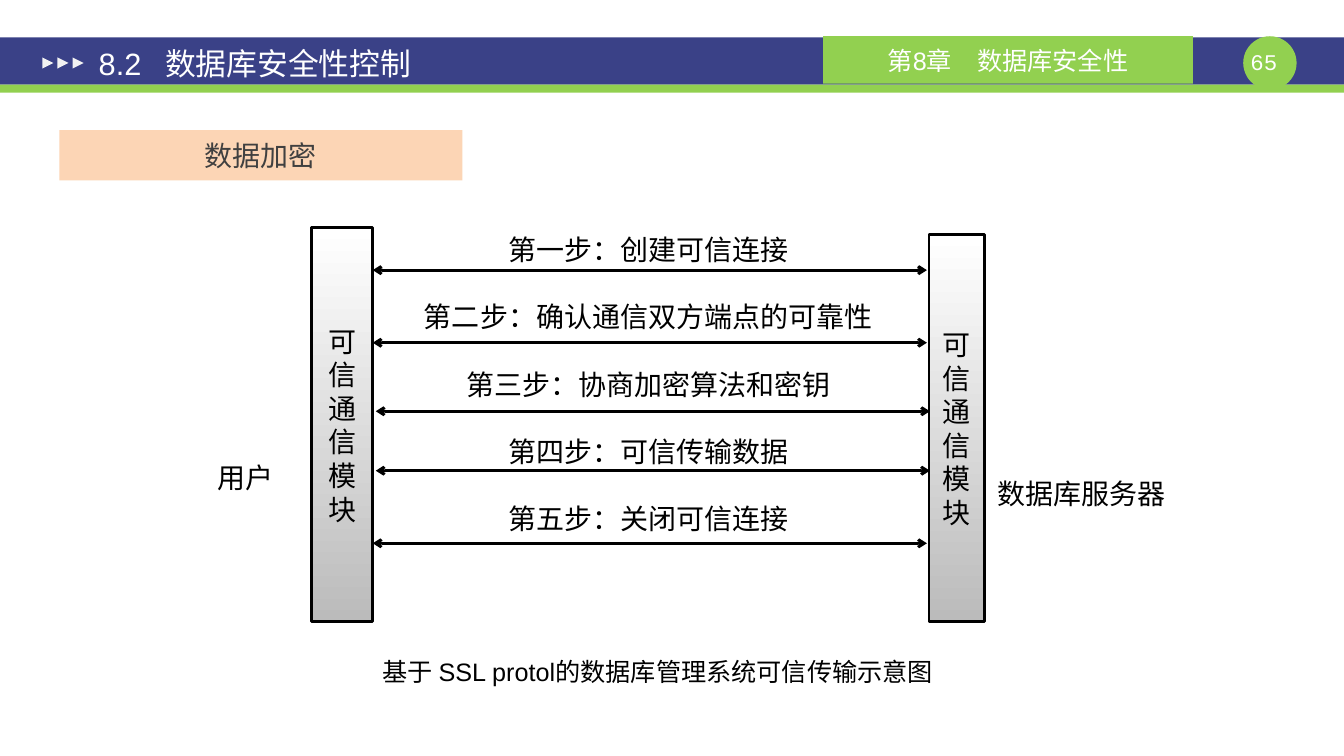
import pptx
import pptx.util
import pptx.dml.color
import pptx.enum.dml
import pptx.enum.shapes
import pptx.enum.text
import pptx.oxml
import pptx.oxml.ns
from lxml import etree

Inches = pptx.util.Inches
Pt = pptx.util.Pt
KIND = pptx.enum.shapes.MSO_SHAPE
ALIGN = pptx.enum.text.PP_ALIGN
ANCHOR = pptx.enum.text.MSO_ANCHOR

COLORS = {
    "navy": "3A4187", "green": "92D050", "peach": "FCD5B5",
    "mark": "F2F2F2", "white": "FFFFFF", "gray": "BBBBBB",
    "dark": "404040", "black": "000000",
}
STEPS = [
    "第一步：创建可信连接",
    "第二步：确认通信双方端点的可靠性",
    "第三步：协商加密算法和密钥",
    "第四步：可信传输数据",
    "第五步：关闭可信连接",
]
ARROWS = [(3.7, 2.68), (3.7, 3.4), (3.73, 4.08), (3.73, 4.67), (3.7, 5.39)]


def color(name):
    return pptx.dml.color.RGBColor.from_string(COLORS[name])


def write(shape, lines, size, tint="black", font="Arial", align=ALIGN.CENTER,
          anchor=ANCHOR.MIDDLE, wrap=True, gap=0):
    frame = shape.text_frame
    frame.word_wrap = wrap
    frame.auto_size = pptx.enum.text.MSO_AUTO_SIZE.NONE
    frame.vertical_anchor = anchor
    frame.text = "\n".join(lines)
    for i, para in enumerate(frame.paragraphs):
        para.alignment = align
        para.space_before = Pt(gap if i else 0)
        para.font.size = Pt(size)
        para.font.name = font
        para.font.color.rgb = color(tint)
    return frame


def add_block(slide, kind, box, fill):
    shape = slide.shapes.add_shape(kind, *map(Inches, box))
    shape.shadow.inherit = False
    shape.fill.solid()
    shape.fill.fore_color.rgb = color(fill)
    shape.line.fill.background()
    return shape


def add_label(slide, box, lines, size, **style):
    label = slide.shapes.add_textbox(*map(Inches, box))
    return write(label, lines, size, **style)


def add_module(slide, box):
    shape = add_block(slide, KIND.RECTANGLE, box, "white")
    shape.fill.gradient()
    shape.fill.gradient_angle = 270
    for stop, name in zip(shape.fill.gradient_stops, ("white", "gray")):
        stop.color.rgb = color(name)
    shape.line.color.rgb = color("black")
    shape.line.width = Pt(2)
    write(shape, "可信通信模块", 20, wrap=False)


def add_arrow(slide, left, top):
    link = slide.shapes.add_connector(
        pptx.enum.shapes.MSO_CONNECTOR.STRAIGHT,
        Inches(left), Inches(top), Inches(left + 5.5), Inches(top))
    link.line.color.rgb = color("black")
    link.line.width = Pt(2)
    line = link.line._get_or_add_ln()
    for end in ("a:headEnd", "a:tailEnd"):
        etree.SubElement(line, pptx.oxml.ns.qn(end), type="arrow")
    etree.SubElement(link._element.spPr, pptx.oxml.ns.qn("a:effectLst"))


def set_title(slide):
    title = slide.shapes.title
    slide.shapes._spTree.append(title._element)
    title.left, title.top = Inches(0.85), Inches(0.39)
    title.width, title.height = Inches(5.83), Inches(0.47)
    frame = title.text_frame
    frame.margin_left = frame.margin_right = Inches(0.13)
    frame.margin_top = frame.margin_bottom = Inches(0.07)
    frame.text = "8.2\t数据库安全性控制"
    props = frame.paragraphs[0]._p.get_or_add_pPr()
    tabs = etree.SubElement(props, pptx.oxml.ns.qn("a:tabLst"))
    etree.SubElement(tabs, pptx.oxml.ns.qn("a:tab"),
                     pos=str(Inches(0.66)), algn="l")
    para = frame.paragraphs[0]
    para.alignment = ALIGN.LEFT
    para.font.size = Pt(22)
    para.font.name = "Arial"
    para.font.color.rgb = color("white")
    frame.vertical_anchor = ANCHOR.MIDDLE
    frame.auto_size = pptx.enum.text.MSO_AUTO_SIZE.NONE


def add_header(slide):
    add_block(slide, KIND.RECTANGLE, (0, 0.37, 13.34, 0.47), "navy")
    add_block(slide, KIND.RECTANGLE, (0, 0.84, 13.34, 0.08), "green")
    add_block(slide, KIND.OVAL, (12.34, 0.36, 0.53, 0.53), "green")
    page = add_label(slide, (12.28, 0.48, 0.53, 0.27), ["65"], 16,
                     tint="white", font="Courier New")
    page.margin_left = page.margin_right = 0
    page.margin_top = page.margin_bottom = 0
    part = add_block(slide, KIND.RECTANGLE, (8.17, 0.36, 3.67, 0.47), "green")
    write(part, ["第8章　数据库安全性"], 18, tint="white")
    for i in range(3):
        mark = add_block(slide, KIND.ISOSCELES_TRIANGLE,
                         (0.42 + 0.15 * i, 0.57, 0.11, 0.11), "mark")
        mark.rotation = 90
    set_title(slide)


def main():
    deck = pptx.Presentation()
    deck.slide_width, deck.slide_height = Inches(13.34), Inches(7.5)
    slide = deck.slides.add_slide(deck.slide_layouts[5])
    add_header(slide)
    topic = add_block(slide, KIND.RECTANGLE, (0.59, 1.29, 4, 0.5), "peach")
    write(topic, ["数据加密"], 20, tint="dark")
    add_label(slide, (3.28, 6.46, 6.5, 0.4),
              ["基于 SSL protol的数据库管理系统可信传输示意图"], 18)
    add_label(slide, (2.93, 2.26, 7.01, 3.13), STEPS, 20,
              anchor=ANCHOR.TOP, gap=24)
    for left, top in ARROWS:
        add_arrow(slide, left, top)
    add_module(slide, (3.09, 2.26, 0.61, 3.91))
    add_module(slide, (9.22, 2.33, 0.55, 3.84))
    add_label(slide, (2.06, 4.52, 0.77, 0.44), ["用户"], 20,
              align=ALIGN.LEFT, wrap=False)
    add_label(slide, (9.8, 4.67, 1.9, 0.44), ["数据库服务器"], 20,
              align=ALIGN.LEFT, wrap=False)
    deck.save("out.pptx")


if __name__ == "__main__":
    main()
